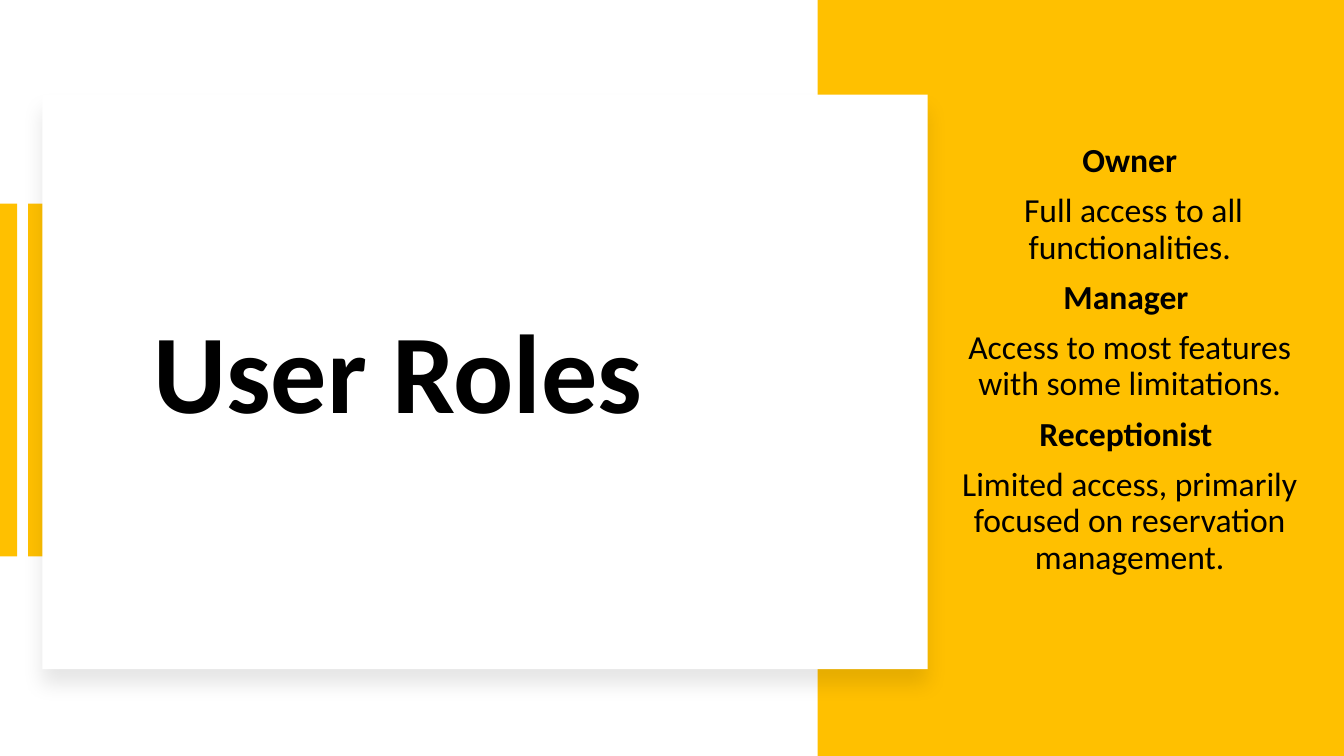
from lxml import etree
from pptx import Presentation
from pptx.dml.color import RGBColor
from pptx.enum.shapes import MSO_SHAPE
from pptx.enum.text import MSO_ANCHOR, MSO_AUTO_SIZE, PP_ALIGN
from pptx.oxml.ns import qn
from pptx.util import Inches, Pt

RECTANGLE = MSO_SHAPE.RECTANGLE
MIDDLE = MSO_ANCHOR.MIDDLE
NO_AUTOFIT = MSO_AUTO_SIZE.NONE
LEFT, CENTER = PP_ALIGN.LEFT, PP_ALIGN.CENTER
GOLD, WHITE, BLACK = "FFC000", "FFFFFF", "000000"


def add_rectangle(left, top, width, height, color):
    shape = slide.shapes.add_shape(
        RECTANGLE, Inches(left), Inches(top), Inches(width), Inches(height)
    )
    shape.shadow.inherit = False
    shape.fill.solid()
    shape.fill.fore_color.rgb = RGBColor.from_string(color)
    shape.line.fill.background()
    return shape


def format_placeholder(placeholder, box, lines, size, alignment, space_before):
    placeholder.left, placeholder.top, placeholder.width, placeholder.height = map(Inches, box)
    slide.shapes._spTree.append(placeholder._element)
    text_frame = placeholder.text_frame
    text_frame.text = "\n".join(lines)
    text_frame.word_wrap = True
    text_frame.auto_size = NO_AUTOFIT
    text_frame.vertical_anchor = MIDDLE
    for index, paragraph in enumerate(text_frame.paragraphs):
        paragraph.alignment = alignment
        paragraph.line_spacing = 0.9
        paragraph.space_before = Pt(space_before)
        font = paragraph.runs[0].font
        font.name = "Calibri"
        font.size = Pt(size)
        font.bold = index % 2 == 0
        font.color.rgb = RGBColor.from_string(BLACK)


presentation = Presentation()
presentation.slide_width = Inches(13.33)
presentation.slide_height = Inches(7.5)
slide = presentation.slides.add_slide(presentation.slide_layouts[0])

for strip_left in (0, 0.28):
    add_rectangle(strip_left, 2.02, 0.17, 3.5, GOLD)
add_rectangle(8.11, 0, 5.22, 7.5, GOLD)

card = add_rectangle(0.42, 0.94, 8.78, 5.7, WHITE)
effects = card._element.spPr.find(qn("a:effectLst"))
shadow = etree.SubElement(
    effects, qn("a:outerShdw"), blurRad=str(Pt(15)), dist=str(Pt(11)),
    dir="5400000", algn="t", rotWithShape="0",
)
shadow_color = etree.SubElement(shadow, qn("a:srgbClr"), val=BLACK)
etree.SubElement(shadow_color, qn("a:alpha"), val="10000")

format_placeholder(
    slide.shapes.title, (1.42, 1.55, 6.07, 4.39), ["User Roles"], 80, LEFT, 0
)

roles = [
    "Owner",
    " Full access to all functionalities.",
    "Manager ",
    "Access to most features with some limitations.",
    "Receptionist ",
    "Limited access, primarily focused on reservation management.",
]
format_placeholder(
    slide.placeholders[1], (9.35, 0, 3.71, 7.14), roles, 24, CENTER, 10
)

presentation.save("out.pptx")
